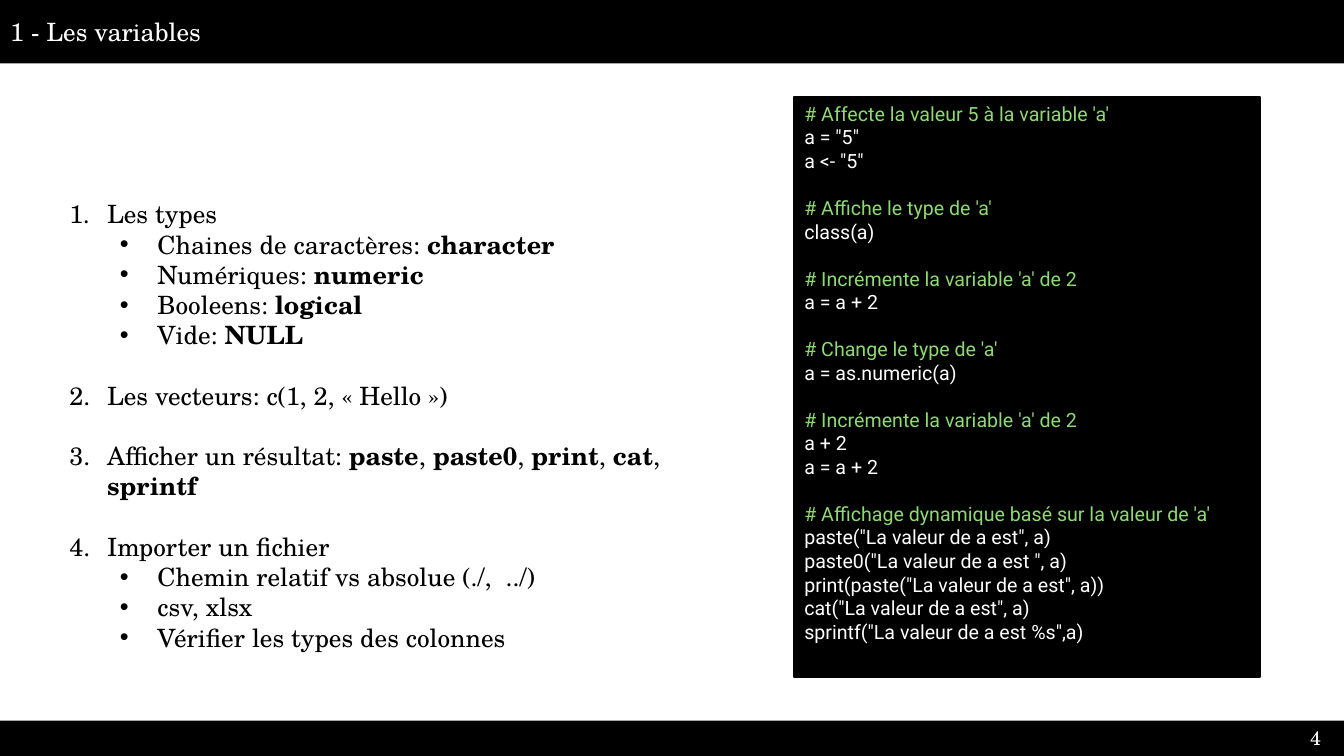
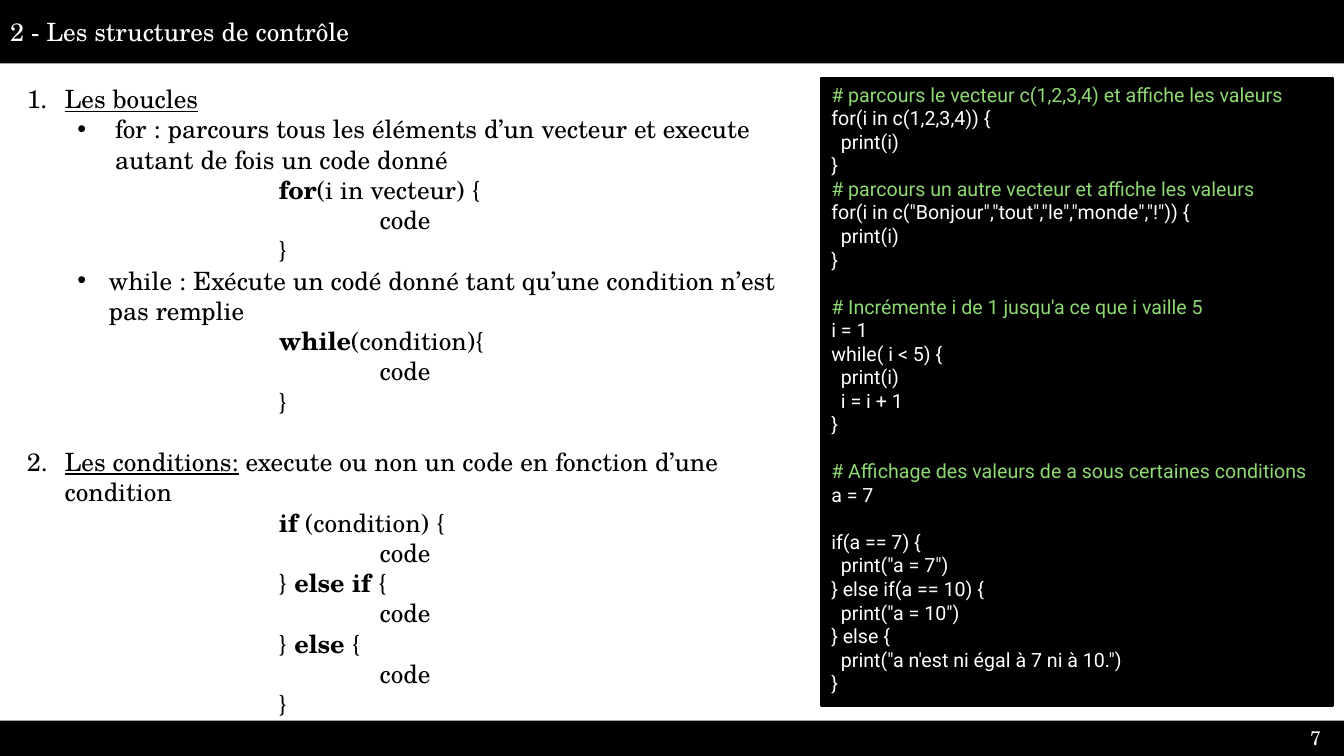
from lxml import etree
from pptx import Presentation
from pptx import util as u
from pptx.dml import color
from pptx.enum import shapes, text
from pptx.oxml import ns

WIDTH, HEIGHT = 33.87, 19.05
TITLE_HEIGHT, FOOTER_HEIGHT = 1.6, 0.89
TITLE_ONLY = 5
SERIF, SANS = "TeX Gyre Schola", "Roboto"
BLACK, WHITE, GREEN = "000000", "FFFFFF", "8ED973"
NOTE_GAP, CODE_GAP = u.Pt(21.6), u.Pt(16.8)  # one line of each text

NUMBER = ("buAutoNum", {"type": "arabicPeriod"})
DOT = ("buChar", {"char": "•"})
# kind: level, left margin, first-line indent (cm), bullet
KINDS = {
    "item": (0, 0.95, -0.95, NUMBER),
    "point": (1, 2.22, -0.95, DOT),
    "close point": (1, 2.06, -0.79, DOT),
    "code": (5, 6.35, 0, None),
    "inner code": (5, 8.89, 0, None),
}

VARIABLE_NOTES = [
    ("item", "Les types"),
    ("point", "Chaines de caractères: *character*"),
    ("point", "Numériques: *numeric*"),
    ("point", "Booleens: *logical*"),
    ("point", "Vide: *NULL*"),
    ("item", "Les vecteurs: c(1, 2, « Hello »)"),
    ("item", "Afficher un résultat: *paste*,* paste0*, *print*, *cat*, *sprintf*"),
    ("item", "Importer un fichier"),
    ("point", "Chemin relatif vs absolue (./,  ../)"),
    ("point", "csv, xlsx"),
    ("point", "Vérifier les types des colonnes"),
]

VARIABLE_CODE = """\
# Affecte la valeur 5 à la variable 'a'
a = "5"
a <- "5"

# Affiche le type de 'a'
class(a)

# Incrémente la variable 'a' de 2
a = a + 2

# Change le type de 'a'
a = as.numeric(a)

# Incrémente la variable 'a' de 2
a + 2
a = a + 2

# Affichage dynamique basé sur la valeur de 'a'
paste("La valeur de a est", a)
paste0("La valeur de a est ", a)
print(paste("La valeur de a est", a))
cat("La valeur de a est", a)
sprintf("La valeur de a est %s",a)"""

CONTROL_NOTES = [
    ("item", "_Les boucles_"),
    ("point", "for : parcours tous les éléments d’un vecteur et execute "
              "autant de fois un code donné"),
    ("code", "*for*(i in vecteur) {"),
    ("inner code", "code"),
    ("code", "}"),
    ("close point", "while : Exécute un codé donné tant qu’une condition n’est "
                    "pas remplie"),
    ("code", "*while*(condition){"),
    ("inner code", "code"),
    ("code", "}"),
    ("item", "_Les conditions:_ execute ou non un code en fonction d’une condition"),
    ("code", "*if* (condition) {"),
    ("inner code", "code"),
    ("code", "} *else if* {"),
    ("inner code", "code"),
    ("code", "} *else* {"),
    ("inner code", "code"),
    ("code", "}"),
]

CONTROL_CODE = """\
# parcours le vecteur c(1,2,3,4) et affiche les valeurs
for(i in c(1,2,3,4)) {
  print(i)
}
# parcours un autre vecteur et affiche les valeurs
for(i in c("Bonjour","tout","le","monde","!")) {
  print(i)
}

# Incrémente i de 1 jusqu'a ce que i vaille 5
i = 1
while( i < 5) {
  print(i)
  i = i + 1
}

# Affichage des valeurs de a sous certaines conditions
a = 7

if(a == 7) {
  print("a = 7")
} else if(a == 10) {
  print("a = 10")
} else {
  print("a n'est ni égal à 7 ni à 10.")
}"""


def rgb(value):
    return color.RGBColor.from_string(value)


def set_all(target, **values):
    for name, value in values.items():
        setattr(target, name, value)


def fill_solid(shape, value):
    shape.fill.solid()
    shape.fill.fore_color.rgb = rgb(value)


def add_run(paragraph, content, ink, **font_values):
    run = paragraph.add_run()
    run.text = content
    set_all(run.font, **font_values)
    run.font.color.rgb = rgb(ink)


def set_kind(paragraph, kind):
    """Apply the level, indents and bullet of one of KINDS."""
    level, margin, indent, bullet = KINDS[kind]
    paragraph.level = level
    properties = paragraph._p.get_or_add_pPr()
    properties.set("marL", str(u.Cm(margin)))
    properties.set("indent", str(u.Cm(indent)))
    if bullet:
        tag, attributes = bullet
        if bullet is DOT:
            etree.SubElement(properties, ns.qn("a:buFont"), typeface="Arial")
        etree.SubElement(properties, ns.qn("a:" + tag), attributes)


class Deck:
    """Holds the shared style and the slide being filled."""

    def __init__(self):
        self.presentation = Presentation()
        set_all(self.presentation, slide_width=u.Cm(WIDTH), slide_height=u.Cm(HEIGHT))
        self.slide = None

    def start_slide(self, title, number):
        layout = self.presentation.slide_layouts[TITLE_ONLY]
        self.slide = self.presentation.slides.add_slide(layout)
        self.title(title)
        footer_top = HEIGHT - FOOTER_HEIGHT
        self.black_box(0, footer_top, WIDTH, FOOTER_HEIGHT)
        frame = self.text_box(32.77, footer_top, 1.1, FOOTER_HEIGHT)
        add_run(frame.paragraphs[0], number, WHITE, name=SERIF, size=u.Pt(14))

    def title(self, content):
        shape = self.slide.shapes.title
        set_all(shape, left=u.Cm(0), top=u.Cm(0),
                width=u.Cm(WIDTH), height=u.Cm(TITLE_HEIGHT))
        fill_solid(shape, BLACK)
        set_all(shape.text_frame, auto_size=text.MSO_AUTO_SIZE.NONE,
                vertical_anchor=text.MSO_ANCHOR.MIDDLE)
        paragraph = shape.text_frame.paragraphs[0]
        paragraph.alignment = text.PP_ALIGN.LEFT
        add_run(paragraph, content, WHITE, name=SERIF, size=u.Pt(18))

    def black_box(self, *place):
        shape = self.slide.shapes.add_shape(
            shapes.MSO_SHAPE.RECTANGLE, *map(u.Cm, place))
        shape.shadow.inherit = False
        fill_solid(shape, BLACK)
        shape.line.fill.background()
        return shape

    def text_box(self, *place):
        frame = self.slide.shapes.add_textbox(*map(u.Cm, place)).text_frame
        frame.word_wrap = True
        return frame

    def notes(self, lines, *place):
        """Write an outline: *...* is bold, _..._ underlined, a gap precedes items."""
        frame = self.text_box(*place)
        for index, (kind, content) in enumerate(lines):
            paragraph = frame.add_paragraph() if index else frame.paragraphs[0]
            set_kind(paragraph, kind)
            if index and kind == "item":
                paragraph.space_before = NOTE_GAP
            for bold, chunk in enumerate(content.split("*")):
                for underline, part in enumerate(chunk.split("_")):
                    if part:
                        add_run(paragraph, part, BLACK, name=SERIF, size=u.Pt(18),
                                bold=bold % 2 == 1, underline=underline % 2 == 1)

    def code(self, source, *place):
        """Write a listing with green comments; an empty line becomes a gap."""
        shape = self.black_box(*place)
        shape.line.color.rgb = rgb(BLACK)
        shape.line.width = u.Pt(1.5)
        frame = shape.text_frame
        set_all(frame, word_wrap=True, vertical_anchor=text.MSO_ANCHOR.TOP)
        for block_index, block in enumerate(source.split("\n\n")):
            for line_index, line in enumerate(block.split("\n")):
                first = block_index == line_index == 0
                paragraph = frame.paragraphs[0] if first else frame.add_paragraph()
                paragraph.alignment = text.PP_ALIGN.LEFT
                if block_index and not line_index:
                    paragraph.space_before = CODE_GAP
                ink = GREEN if line.startswith("#") else WHITE
                add_run(paragraph, line, ink, name=SANS, size=u.Pt(14))


def main():
    deck = Deck()

    deck.start_slide("1 - Les variables", "4")
    deck.notes(VARIABLE_NOTES, 1.5, 4.88, 17.65, 11.02)
    deck.code(VARIABLE_CODE, 20.02, 2.44, 11.73, 14.63)

    deck.start_slide("2 - Les structures de contrôle", "7")
    deck.notes(CONTROL_NOTES, 0.43, 1.98, 20.29, 17)
    deck.code(CONTROL_CODE, 20.7, 1.96, 12.9, 15.82)

    deck.presentation.save("out.pptx")


if __name__ == "__main__":
    main()
